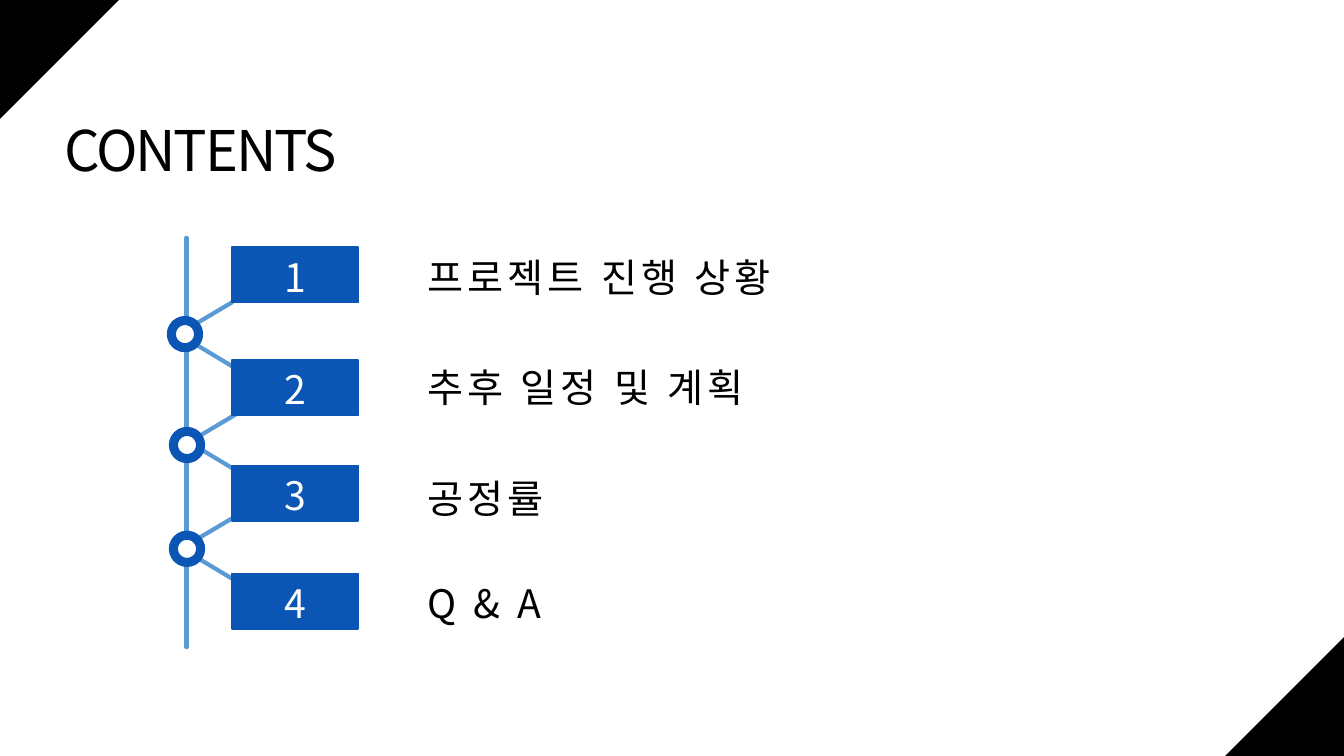
from lxml import etree
from pptx import Presentation
from pptx import util as u
from pptx.dml.color import RGBColor
from pptx.enum import shapes, text
from pptx.oxml.ns import qn

BLACK = RGBColor(0x00, 0x00, 0x00)
WHITE = RGBColor(0xFF, 0xFF, 0xFF)
BLUE = RGBColor(0x0B, 0x55, 0xB5)
LIGHT_BLUE = RGBColor(0x5B, 0x9B, 0xD5)
FONT = "Noto Sans CJK KR"

# number, box top, label top, label width, label
STEPS = [
    ("1", 2.45, 2.46, 3.67, "프로젝트 진행 상황"),
    ("2", 3.57, 3.56, 3.42, "추후 일정 및 계획"),
    ("3", 4.62, 4.66, 1.4, "공정률"),
    ("4", 5.69, 5.7, 1.43, "Q & A"),
]
RINGS = [(1.7, 3.18), (1.72, 4.28), (1.72, 5.31)]
SPINE = (1.85, 2.36, 1.85, 6.42)
SPOKES = [
    (2.3, 3, 1.93, 3.22),
    (2.33, 3.65, 1.93, 3.41),
    (2.34, 4.11, 1.97, 4.33),
    (2.33, 4.66, 1.93, 4.42),
    (2.34, 5.12, 1.97, 5.34),
    (2.3, 5.74, 1.9, 5.5),
]


def add_figure(page, kind, left, top, width, height, fill, line=None, weight=0):
    figure = page.shapes.add_shape(
        kind, u.Inches(left), u.Inches(top), u.Inches(width), u.Inches(height))
    figure.shadow.inherit = False
    figure.fill.solid()
    figure.fill.fore_color.rgb = fill
    if line is None:
        figure.line.fill.background()
    else:
        figure.line.color.rgb = line
        figure.line.width = u.Pt(weight)
    return figure


def add_corner(page, left, top, rotation):
    corner = add_figure(
        page, shapes.MSO_SHAPE.ISOSCELES_TRIANGLE, left, top, 1.18, 1.18, BLACK)
    corner.adjustments[0] = 0
    corner.rotation = rotation


def add_line(page, start_x, start_y, end_x, end_y):
    line = page.shapes.add_connector(
        shapes.MSO_CONNECTOR.STRAIGHT, u.Inches(start_x), u.Inches(start_y),
        u.Inches(end_x), u.Inches(end_y))
    line.line.color.rgb = LIGHT_BLUE
    line.line.width = u.Pt(3)
    properties = line._element.spPr
    properties.find(qn("a:ln")).set("cap", "rnd")
    etree.SubElement(properties, qn("a:effectLst"))


def add_text(page, left, top, width, height, words, size, color,
             align=text.PP_ALIGN.LEFT, spacing=0):
    box = page.shapes.add_textbox(
        u.Inches(left), u.Inches(top), u.Inches(width), u.Inches(height))
    frame = box.text_frame
    frame.word_wrap = False
    frame.auto_size = text.MSO_AUTO_SIZE.SHAPE_TO_FIT_TEXT
    para = frame.paragraphs[0]
    para.text = words
    para.alignment = align
    para.font.size = u.Pt(size)
    para.font.color.rgb = color
    para.font.name = FONT
    defaults = para._p.pPr.find(qn("a:defRPr"))
    defaults.set("spc", str(int(spacing * 100)))
    etree.SubElement(defaults, qn("a:ea"), typeface=FONT)
    return box


def add_label(page, top, width, words):
    label = add_text(page, 4.14, top, width, 0.57, words, 28, BLACK, spacing=3)
    label.fill.solid()
    label.fill.fore_color.rgb = WHITE
    color = label._element.spPr.find(qn("a:solidFill"))[0]
    etree.SubElement(color, qn("a:alpha"), val="57000")


def add_step(page, number, top):
    add_figure(page, shapes.MSO_SHAPE.RECTANGLE, 2.3, top, 1.25, 0.55, BLUE, BLUE, 1)
    add_text(page, 2.7, top + 0.01, 0.45, 0.57, number, 28, WHITE,
             text.PP_ALIGN.CENTER)


def main():
    deck = Presentation()
    deck.slide_width = u.Inches(13.33)
    deck.slide_height = u.Inches(7.5)
    page = deck.slides.add_slide(deck.slide_layouts[6])

    add_corner(page, 0, 0, 90)
    add_corner(page, 12.15, 6.32, 270)
    add_text(page, 0.54, 1.1, 2.95, 0.77, "CONTENTS", 40, BLACK, spacing=-1.5)

    for ends in [*SPOKES, SPINE]:
        add_line(page, *ends)
    for left, top in RINGS:
        add_figure(page, shapes.MSO_SHAPE.OVAL, left, top, 0.27, 0.27, WHITE, BLUE, 6.5)
    for number, box_top, label_top, width, words in STEPS:
        add_step(page, number, box_top)
        add_label(page, label_top, width, words)

    deck.save("out.pptx")


if __name__ == "__main__":
    main()
